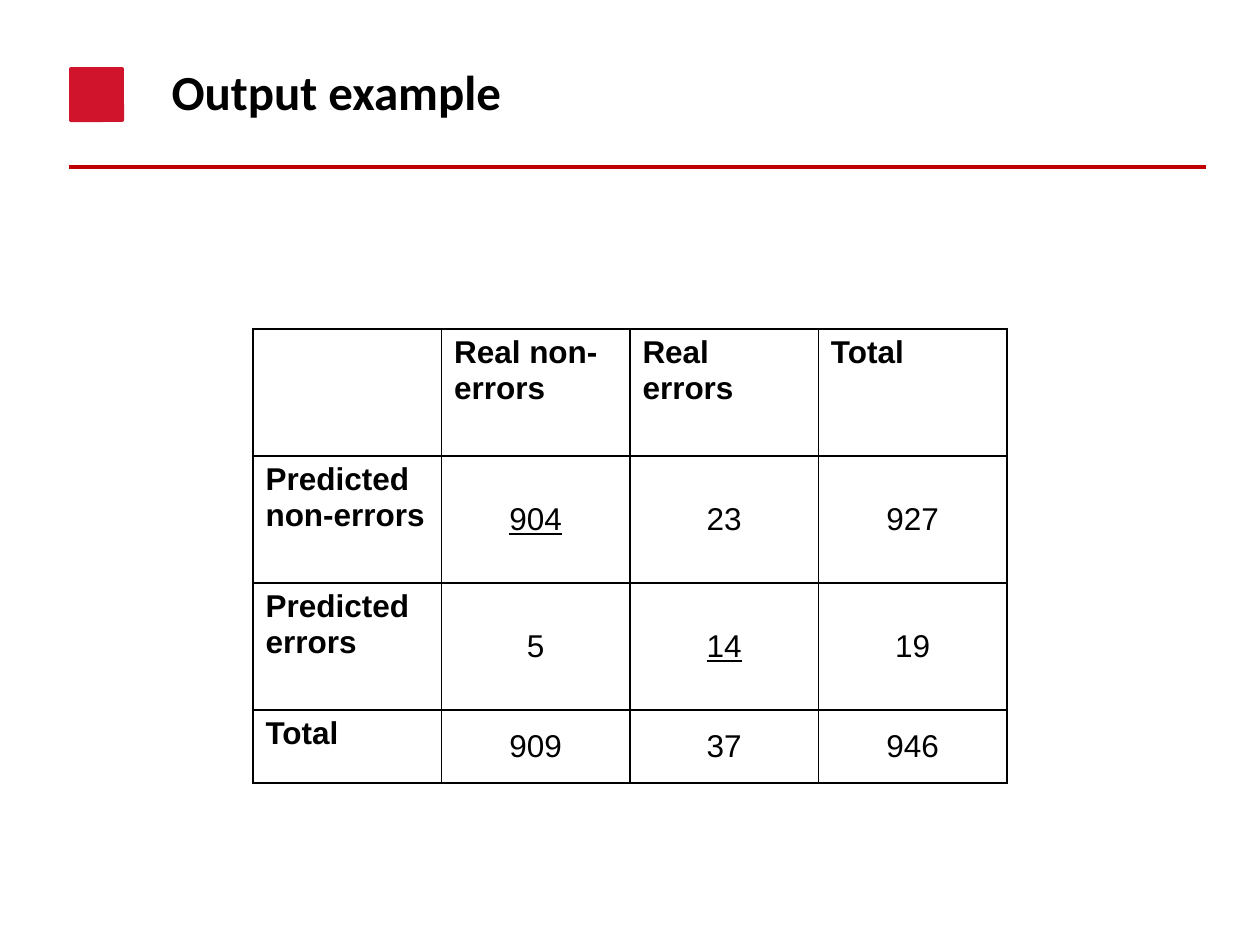
from lxml.etree import SubElement
from pptx import Presentation
from pptx.dml.color import RGBColor
from pptx.enum.shapes import MSO_CONNECTOR, MSO_SHAPE
from pptx.enum.text import MSO_ANCHOR, MSO_AUTO_SIZE, PP_ALIGN
from pptx.oxml import parse_xml
from pptx.oxml.ns import nsdecls, qn
from pptx.util import Emu, Pt

EMU_PER_PX = 914400 / 126
BLACK, MARK_RED, RULE_RED = "000000", "CF142B", "C00000"
ROW_HEIGHTS = (127, 127, 127, 73)
CONFUSION_MATRIX = (
    ("", "Real non-errors", "Real errors", "Total"),
    ("Predicted non-errors", "904", "23", "927"),
    ("Predicted errors", "5", "14", "19"),
    ("Total", "909", "37", "946"),
)


def px(length):
    """Turn pixels into EMU."""
    return Emu(round(length * EMU_PER_PX))


def color(hex_string):
    """Turn a hex string into a colour."""
    return RGBColor.from_string(hex_string)


def write_text(frame, text, font="Arial", size=18, bold=False, underline=False,
               align=PP_ALIGN.LEFT, hex_string=BLACK):
    """Write one formatted paragraph into a text frame."""
    paragraph = frame.paragraphs[0]
    paragraph.alignment = align
    run = paragraph.add_run()
    run.text = text
    run.font.name = font
    run.font.size = Pt(size)
    run.font.bold = bold
    run.font.underline = underline
    run.font.color.rgb = color(hex_string)


def add_border(cell, hex_string=BLACK, width=1):
    """Draw a solid line on all four sides of a cell."""
    properties = cell._tc.get_or_add_tcPr()
    for index, side in enumerate(("lnL", "lnR", "lnT", "lnB")):
        properties.insert(index, parse_xml(
            f'<a:{side} {nsdecls("a")} w="{Pt(width)}"><a:solidFill>'
            f'<a:srgbClr val="{hex_string}"/></a:solidFill></a:{side}>'))


def add_header(slide, left, top, width, height):
    """Place the red mark, the title and the rule below them."""
    mark = slide.shapes.add_shape(
        MSO_SHAPE.ROUNDED_RECTANGLE, px(left), px(top + 12), px(55), px(55))
    mark.adjustments[0] = 0.04
    mark.shadow.inherit = False
    mark.fill.solid()
    mark.fill.fore_color.rgb = color(MARK_RED)
    mark.line.fill.background()

    bottom = px(top + height)
    rule = slide.shapes.add_connector(
        MSO_CONNECTOR.STRAIGHT, px(left), bottom, px(left + width), bottom)
    rule.line.color.rgb = color(RULE_RED)
    rule.line.width = Pt(2.25)
    SubElement(rule._element.spPr, qn("a:effectLst"))

    title = slide.shapes.title
    title.left, title.top = px(left + 90), px(top)
    title.width, title.height = px(777), px(72)
    frame = title.text_frame
    frame.word_wrap = True
    frame.auto_size = MSO_AUTO_SIZE.NONE
    frame.vertical_anchor = MSO_ANCHOR.TOP
    write_text(frame, "Output example", font="Calibri", size=28, bold=True)


def add_matrix(slide, left, top, width):
    """Place the matrix with bold labels and underlined correct predictions."""
    column_count = len(CONFUSION_MATRIX[0])
    table = slide.shapes.add_table(
        len(CONFUSION_MATRIX), column_count,
        px(left), px(top), px(width), px(sum(ROW_HEIGHTS))).table
    table.first_row = table.horz_banding = False
    for column in table.columns:
        column.width = px(width / column_count)
    for row, height in zip(table.rows, ROW_HEIGHTS):
        row.height = px(height)

    for row_index, values in enumerate(CONFUSION_MATRIX):
        for column_index, value in enumerate(values):
            cell = table.cell(row_index, column_index)
            is_label = row_index == 0 or column_index == 0
            is_correct = row_index == column_index and row_index in (1, 2)
            cell.fill.background()
            add_border(cell)
            cell.vertical_anchor = MSO_ANCHOR.TOP if is_label else MSO_ANCHOR.MIDDLE
            if value:
                write_text(cell.text_frame, value, bold=is_label, underline=is_correct,
                           align=PP_ALIGN.LEFT if is_label else PP_ALIGN.CENTER)


def main():
    """Build the slide and save it."""
    presentation = Presentation()
    presentation.slide_width, presentation.slide_height = px(1260), px(945)
    slide = presentation.slides.add_slide(presentation.slide_layouts[5])
    add_header(slide, 69, 55, 1137, 112)
    add_matrix(slide, 253, 329, 754)
    presentation.save("out.pptx")


if __name__ == "__main__":
    main()
